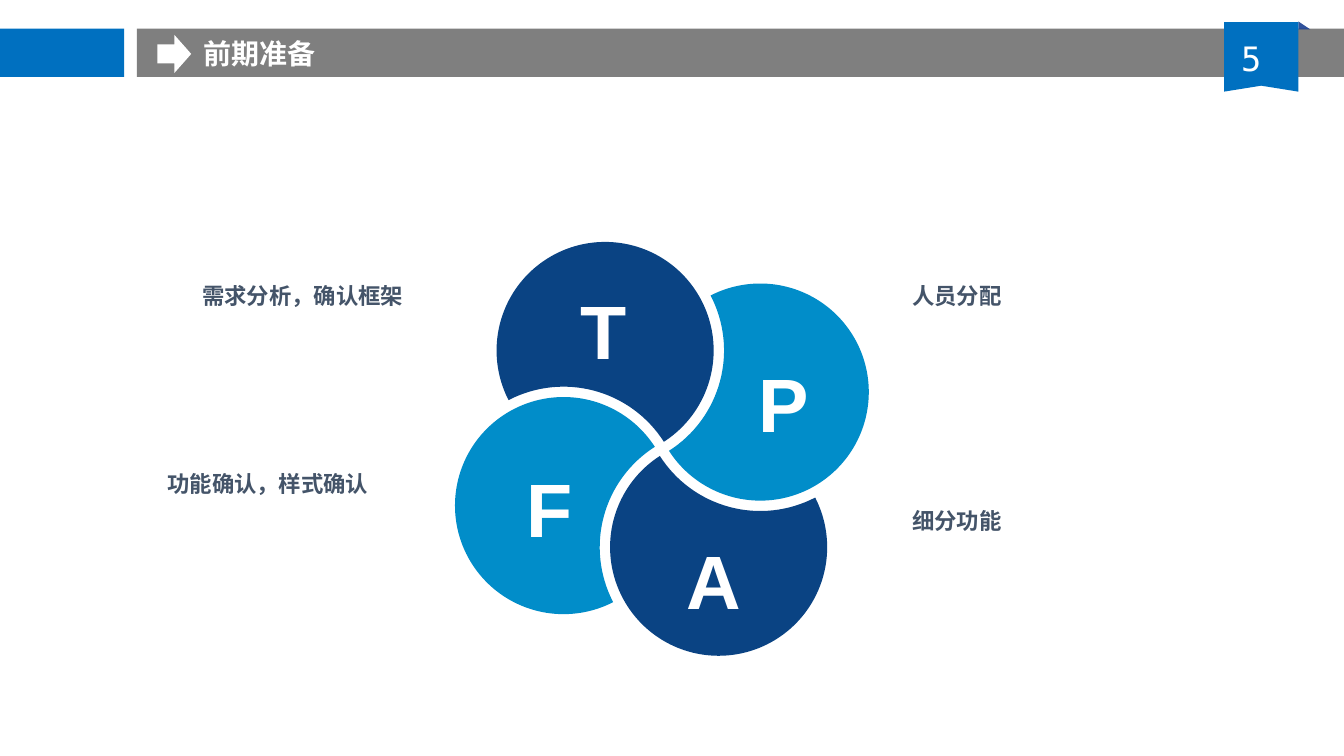
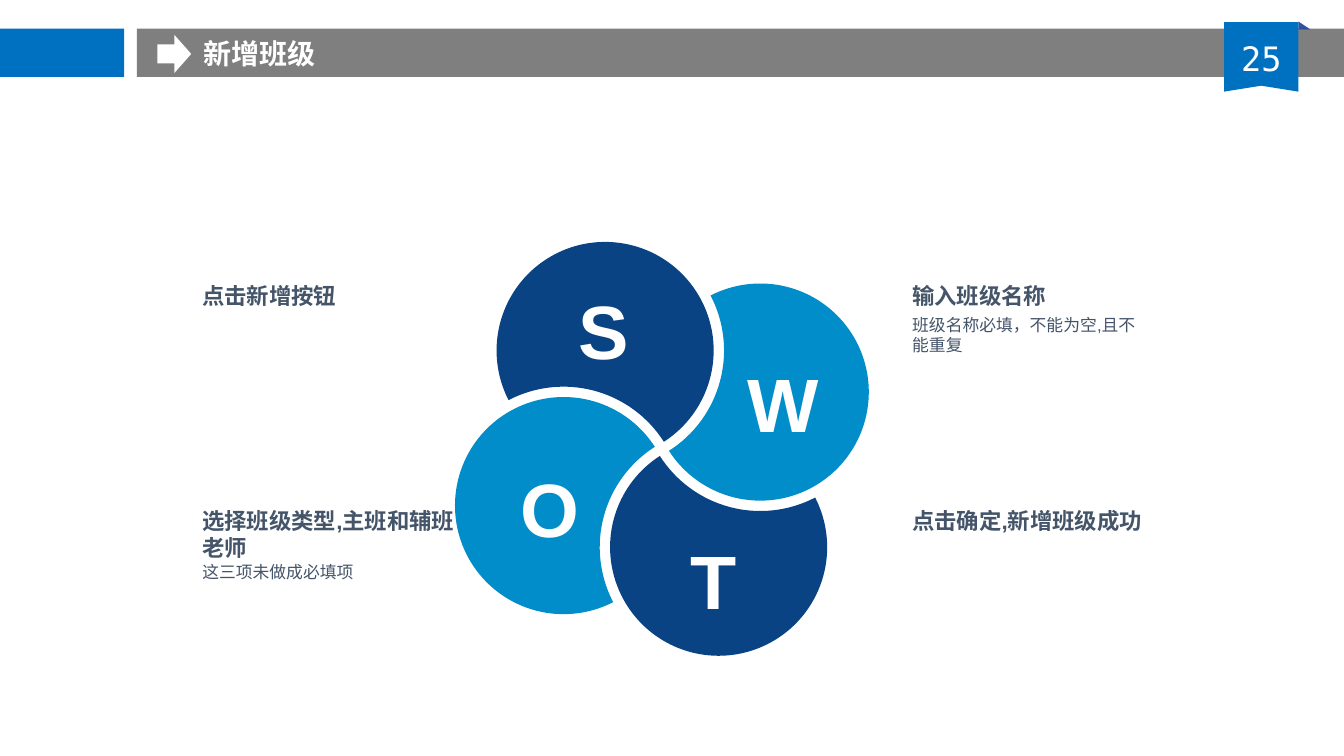
from math import acos, atan2, cos, hypot, pi, sin, tan

from lxml.etree import SubElement
from pptx import Presentation
from pptx.dml.color import RGBColor
from pptx.enum.lang import MSO_LANGUAGE_ID
from pptx.enum.shapes import MSO_SHAPE
from pptx.enum.text import MSO_ANCHOR, PP_ALIGN
from pptx.oxml.ns import qn
from pptx.util import Cm, Pt

COLORS = {
    "blue": "0070C0",
    "gray": "7F7F7F",
    "fold": "0D348B",
    "navy": "0A4383",
    "sky": "018DC9",
    "slate": "445469",
    "white": "FFFFFF",
}
CJK_FONT = "Noto Sans CJK SC"
HEADING = dict(width=6.5, height=0.69, size=16, bold=True)
DETAIL = dict(width=5.64, height=0.51, size=12)

# Caption columns and rows, in cm from the slide corner
LEFT_COL, RIGHT_COL = 5.1, 22.99
TOP_ROW, BOTTOM_ROW = 7.11, 12.78

SLIDES = [
    dict(title="前期准备", number="5", letters="TPAF", captions=[
        (LEFT_COL, TOP_ROW, "需求分析，确认框架", HEADING),
        (RIGHT_COL, TOP_ROW, "人员分配", HEADING),
        (RIGHT_COL, BOTTOM_ROW, "细分功能", HEADING),
        (4.22, 11.84, "功能确认，样式确认", HEADING),
    ]),
    dict(title="新增班级", number="25", letters="SWTO", captions=[
        (LEFT_COL, TOP_ROW, "点击新增按钮", HEADING),
        (RIGHT_COL, TOP_ROW, "输入班级名称", HEADING),
        (RIGHT_COL, 7.93, "班级名称必填，不能为空,且不能重复", DETAIL),
        (RIGHT_COL, BOTTOM_ROW, "点击确定,新增班级成功", HEADING),
        (LEFT_COL, BOTTOM_ROW, "选择班级类型,主班和辅班老师", HEADING),
        (LEFT_COL, 14.15, "这三项未做成必填项", DETAIL),
    ]),
]


def paint(sp, color):
    sp.shadow.inherit = False
    sp.fill.solid()
    sp.fill.fore_color.rgb = RGBColor.from_string(COLORS[color])
    sp.line.fill.background()
    return sp


def add_preset(slide, kind, left, top, width, height, color):
    sp = slide.shapes.add_shape(kind, Cm(left), Cm(top), Cm(width), Cm(height))
    return paint(sp, color)


def add_outline(slide, points, color):
    """Draw a closed, filled outline through points given in cm."""
    pts = [(Cm(x), Cm(y)) for x, y in points]
    builder = slide.shapes.build_freeform(*pts[0], scale=1.0)
    builder.add_line_segments(pts[1:], close=True)
    return paint(builder.convert_to_shape(), color)


def add_curve(slide, points, color):
    """Draw an outline of cubic curves: a start, then three points for each."""
    sp = add_outline(slide, points, color)
    lines = list(sp._element.iter(qn("a:lnTo")))
    for i in range(0, len(lines), 3):
        first, *others = lines[i:i + 3]
        curve = first.makeelement(qn("a:cubicBezTo"))
        first.addprevious(curve)
        for line in (first, *others):
            curve.append(line[0])
            line.getparent().remove(line)
    return sp


def add_text(slide, text, left, top, width, height, size=16, bold=False,
             color="slate", font="Arial", align=PP_ALIGN.LEFT,
             anchor=MSO_ANCHOR.TOP):
    sp = slide.shapes.add_textbox(Cm(left), Cm(top), Cm(width), Cm(height))
    tf = sp.text_frame
    tf.word_wrap = True
    tf.vertical_anchor = anchor
    tf.margin_left = tf.margin_right = tf.margin_top = tf.margin_bottom = 0
    p = tf.paragraphs[0]
    p.alignment = align
    r = p.add_run()
    r.text = text
    r.font.size = Pt(size)
    r.font.bold = bold
    r.font.name = font
    r.font.language_id = MSO_LANGUAGE_ID.SIMPLIFIED_CHINESE
    r.font.color.rgb = RGBColor.from_string(COLORS[color])
    SubElement(r.font._element, qn("a:ea"), typeface=CJK_FONT)
    return sp


def add_ribbon(slide, left, top, width, height, number):
    fold = add_preset(slide, MSO_SHAPE.RIGHT_TRIANGLE,
                      left + width, top - 0.02, 0.3, 0.2, "fold")
    rgb = fold.fill._xPr.find(qn("a:solidFill"))[0]
    SubElement(rgb, qn("a:alpha"), val="85000")
    right, bottom = left + width, top + height
    add_outline(slide, [(left, top), (right, top), (right, bottom),
                        (left + width / 2, bottom - 0.15), (left, bottom)],
                "blue")
    add_text(slide, number, left + 0.43, top + 0.39, width - 0.43, 1.03,
             size=24, color="white", font="DejaVu Sans Mono")


def add_header(slide, top, width, title, number):
    height = 1.22
    add_preset(slide, MSO_SHAPE.RECTANGLE, 0, top, 3.13, height, "blue")
    add_preset(slide, MSO_SHAPE.RECTANGLE, 3.45, top, width - 3.45, height,
               "gray")
    add_preset(slide, MSO_SHAPE.RIGHT_ARROW, 3.97, top + 0.16, 0.85, 0.96,
               "white")
    add_text(slide, title, 5.13, top + 0.19, 7.3, 0.86, size=20, bold=True,
             color="white", font=CJK_FONT)
    add_ribbon(slide, width - 3.02, top - 0.16, 1.87, 1.75, number)


def arc(center, radius, start, end, count):
    """Return the points after the start of an arc made of cubic curves."""
    step = (end - start) / count
    pull = 4 / 3 * tan(step / 4)
    points = []
    for i in range(count):
        a, b = start + i * step, start + (i + 1) * step
        for x, y in ((cos(a) - pull * sin(a), sin(a) + pull * cos(a)),
                     (cos(b) + pull * sin(b), sin(b) - pull * cos(b)),
                     (cos(b), sin(b))):
            points.append((center[0] + radius * x, center[1] + radius * y))
    return points


def petal_points(center, neighbour, radius, gap):
    """Outline a disc less the neighbour's disc, which is widened by gap."""
    bite = radius + gap
    dx, dy = neighbour[0] - center[0], neighbour[1] - center[1]
    dist, toward = hypot(dx, dy), atan2(dy, dx)
    half = acos((dist**2 + radius**2 - bite**2) / (2 * dist * radius))
    half_bite = acos((dist**2 + bite**2 - radius**2) / (2 * dist * bite))
    rim = arc(center, radius, toward + half, toward - half + 2 * pi, 5)
    back = toward + pi
    hollow = arc(neighbour, bite, back + half_bite, back - half_bite, 2)
    return [hollow[-1]] + rim + hollow


def add_pinwheel(slide, left, top, size, letters):
    """Place four petals clockwise from the top, each with its letter."""
    cx, cy = left + size / 2, top + size / 2
    radius, gap = size * 0.261, size * 0.025
    dx, dy = -size * 0.1365, -size * 0.2365
    centers = []
    for _ in letters:
        centers.append((cx + dx, cy + dy))
        dx, dy = -dy, dx
    for i, center in enumerate(centers):
        points = petal_points(center, centers[i - 1], radius, gap)
        add_curve(slide, points, ("navy", "sky")[i % 2])

    width, height = 3.66, 2.64
    offsets = [(-1.47, -3.01), (3.07, -1.18), (1.31, 3.28), (-2.83, 1.48)]
    for letter, (x, y) in zip(letters, offsets):
        add_text(slide, letter, cx + x - width / 2, cy + y - height / 2,
                 width, height, size=54, bold=True, color="white",
                 align=PP_ALIGN.CENTER, anchor=MSO_ANCHOR.MIDDLE)


def add_captions(slide, captions):
    for left, top, text, style in captions:
        add_text(slide, text, left, top, **style)


def main():
    prs = Presentation()
    prs.slide_width, prs.slide_height = Cm(33.87), Cm(19.05)
    for content in SLIDES:
        slide = prs.slides.add_slide(prs.slide_layouts[6])
        add_header(slide, 0.72, 33.87, content["title"], content["number"])
        add_pinwheel(slide, 11.44, 6.07, 10.48, content["letters"])
        add_captions(slide, content["captions"])
    prs.save("out.pptx")


if __name__ == "__main__":
    main()
